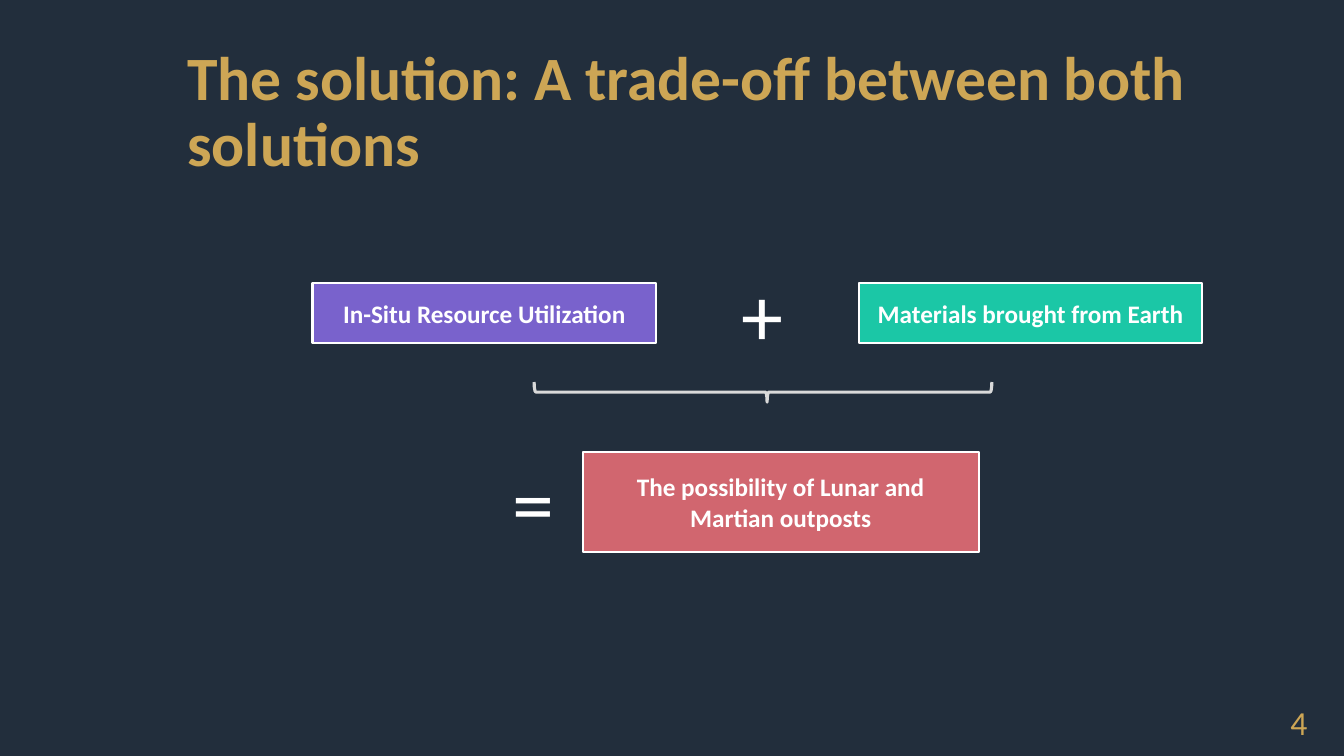
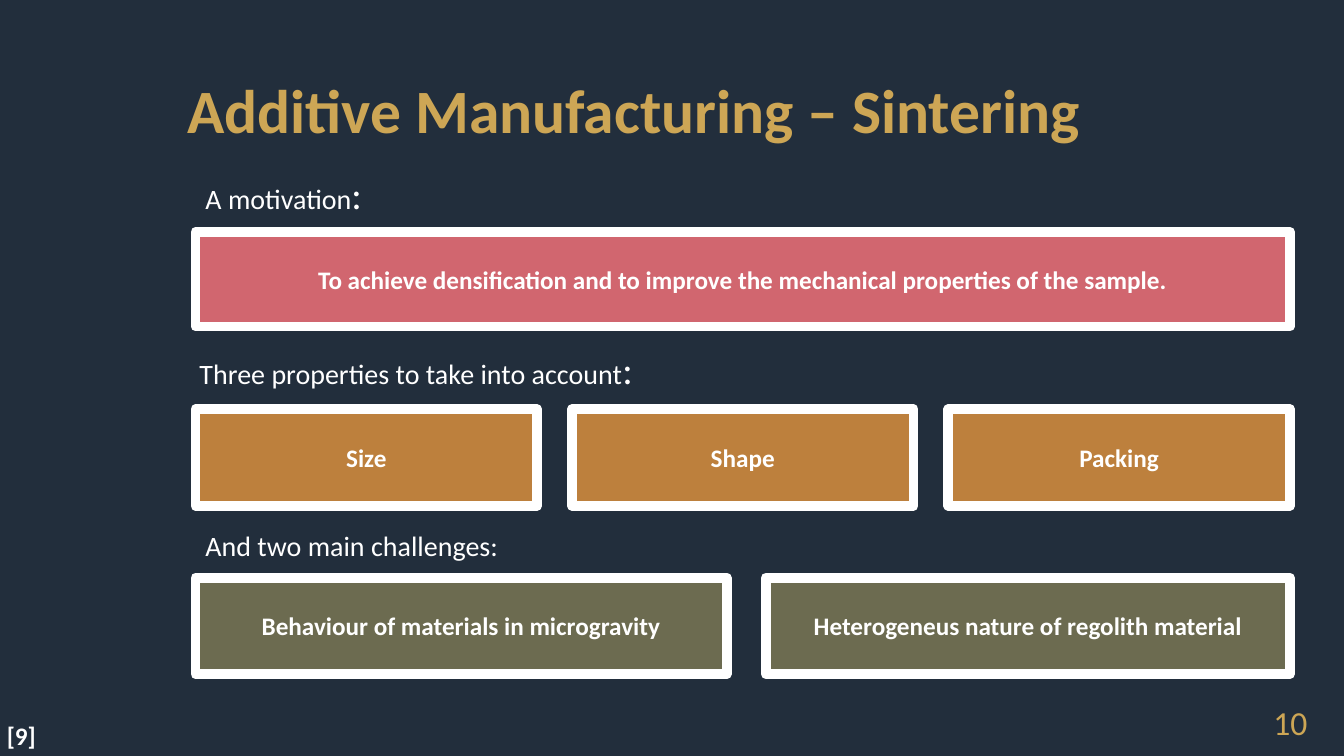
from pptx import Presentation
from pptx.dml.color import RGBColor
from pptx.enum import shapes, text
from pptx.util import Pt

FONT = "Calibri"
NAVY, GOLD, WHITE, GREY = "222E3C", "CDA655", "FFFFFF", "D9D9D9"
ROSE, TEAL, PLUM = "D1666F", "1BC7A6", "7962CC"
OCHRE, OLIVE = "BD803D", "6C6B50"
LEFT, MID, RIGHT = text.PP_ALIGN.LEFT, text.PP_ALIGN.CENTER, text.PP_ALIGN.RIGHT


def paint(part, tone):
    if hasattr(part, "solid"):
        part.solid()
        part = part.fore_color
    part.rgb = RGBColor.from_string(tone)


def style(para, size, tone, bold=False, align=LEFT):
    para.alignment = align
    for run in para.runs:
        run.font.name = FONT
        run.font.size = Pt(size)
        run.font.bold = bold
        paint(run.font.color, tone)


def write(slide, box, words, size, tone=WHITE, bold=False, align=LEFT, grow=False):
    item = slide.shapes.add_textbox(*map(Pt, box))
    frame = item.text_frame
    frame.word_wrap = True
    if grow:
        frame.auto_size = text.MSO_AUTO_SIZE.SHAPE_TO_FIT_TEXT
    frame.text = words
    style(frame.paragraphs[0], size, tone, bold, align)
    return frame


def block(slide, box, words, fill, edge):
    item = slide.shapes.add_shape(shapes.MSO_SHAPE.RECTANGLE, *map(Pt, box))
    item.shadow.inherit = False
    paint(item.fill, fill)
    paint(item.line.fill, WHITE)
    item.line.width = Pt(edge)
    frame = item.text_frame
    frame.word_wrap = True
    frame.vertical_anchor = text.MSO_ANCHOR.MIDDLE
    frame.text = words
    style(frame.paragraphs[0], 18, WHITE, True, MID)


def page(deck, title, number):
    slide = deck.slides.add_slide(deck.slide_layouts[6])
    frame = write(slide, (126.7, 28.8, 766.8, 104.4), title, 44, GOLD, True)
    frame.vertical_anchor = text.MSO_ANCHOR.MIDDLE
    frame.paragraphs[0].line_spacing = 0.9
    write(slide, (725, 498.2, 216, 28.8), number, 24, GOLD, align=RIGHT)
    return slide


def brace(slide, box):
    x, y, w, h = box
    turned = (x + (w - h) / 2, y + (h - w) / 2, h, w)
    item = slide.shapes.add_shape(shapes.MSO_SHAPE.RIGHT_BRACE, *map(Pt, turned))
    item.rotation = 90
    item.adjustments[0] = 0.083
    item.adjustments[1] = 0.491
    item.shadow.inherit = False
    item.fill.background()
    paint(item.line.fill, GREY)
    item.line.width = Pt(2.25)


def sum_up(slide, box):
    x, y, w, h = box
    wide, high = 245.5, 42.5
    block(slide, (x, y, wide, high), "In-Situ Resource Utilization", PLUM, 1.5)
    block(slide, (x + w - wide, y, wide, high), "Materials brought from Earth", TEAL, 1.5)
    block(slide, (x + 193, y + h - 72, 283, 72),
          "The possibility of Lunar and Martian outposts", ROSE, 1.5)
    brace(slide, (x + 158.3, y + 70.6, 327, 14.4))
    for sign, dx, dy in (("+", 287.3, -18.7), ("=", 123.8, 116)):
        write(slide, (x + dx, y + dy, 68.4, 79.9), sign, 60, align=MID, grow=True)


def band(slide, box, names, sizes, fill):
    x, y, w, h = box
    gap = (w - sum(sizes)) / max(len(sizes) - 1, 1)
    for name, size in zip(names, sizes):
        block(slide, (x, y, size, h), name, fill, 7)
        x += size + gap


def label(slide, spot, words, colon=""):
    para = write(slide, (*spot, 766.8, 39.6), words, 20).paragraphs[0]
    para.line_spacing = 0.9
    if colon:
        para.add_run().text = colon
        style(para, 20, WHITE)
        para.runs[-1].font.size = Pt(28)


def main():
    deck = Presentation()
    deck.slide_width, deck.slide_height = Pt(960), Pt(540)
    paint(deck.slide_master.background.fill, NAVY)

    slide = page(deck, "The solution: A trade-off between both solutions", "4")
    sum_up(slide, (223.2, 202.3, 635.7, 192.3))

    slide = page(deck, "Additive Manufacturing – Sintering", "10")
    x, w = 139.7, 781.7
    label(slide, (x, 121.7), "A motivation", ":")
    band(slide, (x, 165.6, w, 67.7),
         ["To achieve densification and to improve the mechanical properties of the sample."],
         [w], ROSE)
    label(slide, (x - 4.3, 247), "Three properties to take into account", ":")
    band(slide, (x, 292.3, w, 69), ["Size", "Shape", "Packing"], [244] * 3, OCHRE)
    label(slide, (x, 376.6), "And two main challenges:")
    band(slide, (x, 412.6, w, 69),
         ["Behaviour of materials in microgravity", "Heterogeneus nature of regolith material"],
         [379.4, 374.4], OLIVE)
    write(slide, (-2.2, 511.2, 81.4, 28.8), "[9]", 18, bold=True, grow=True)

    deck.save("out.pptx")


if __name__ == "__main__":
    main()
